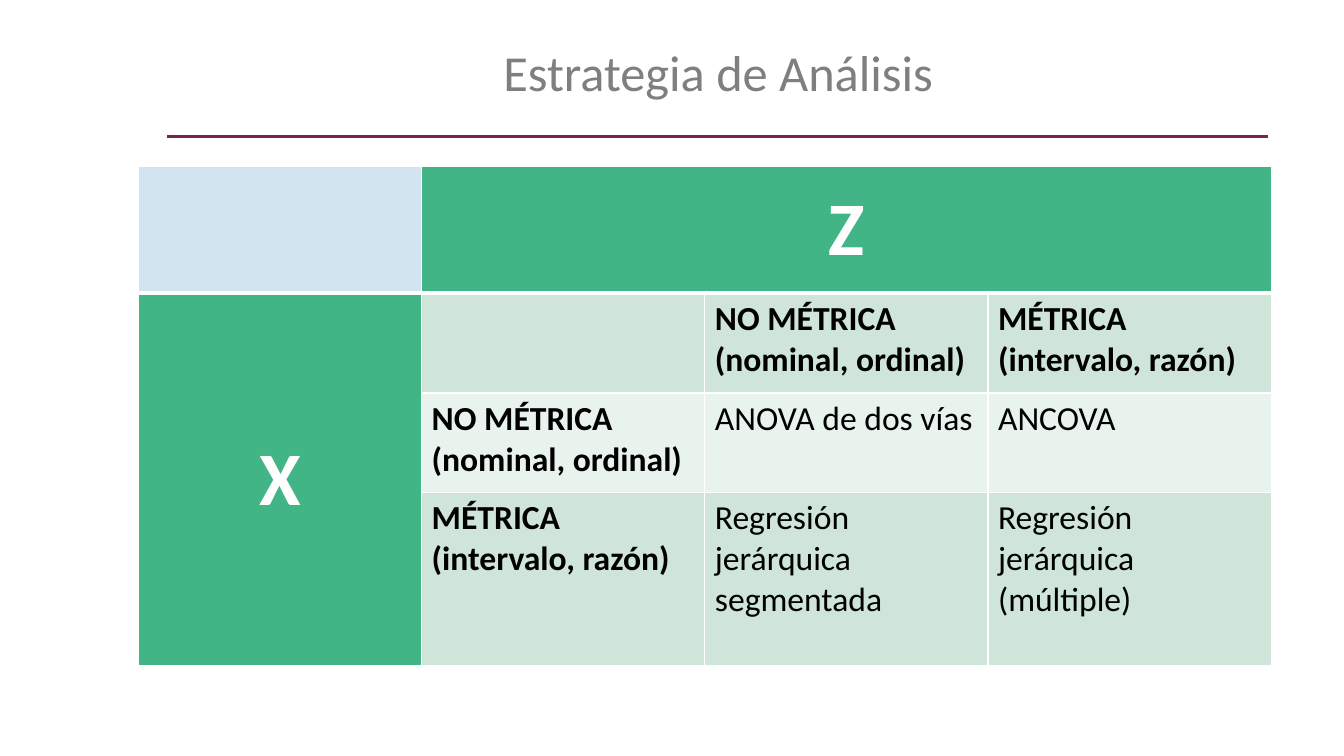
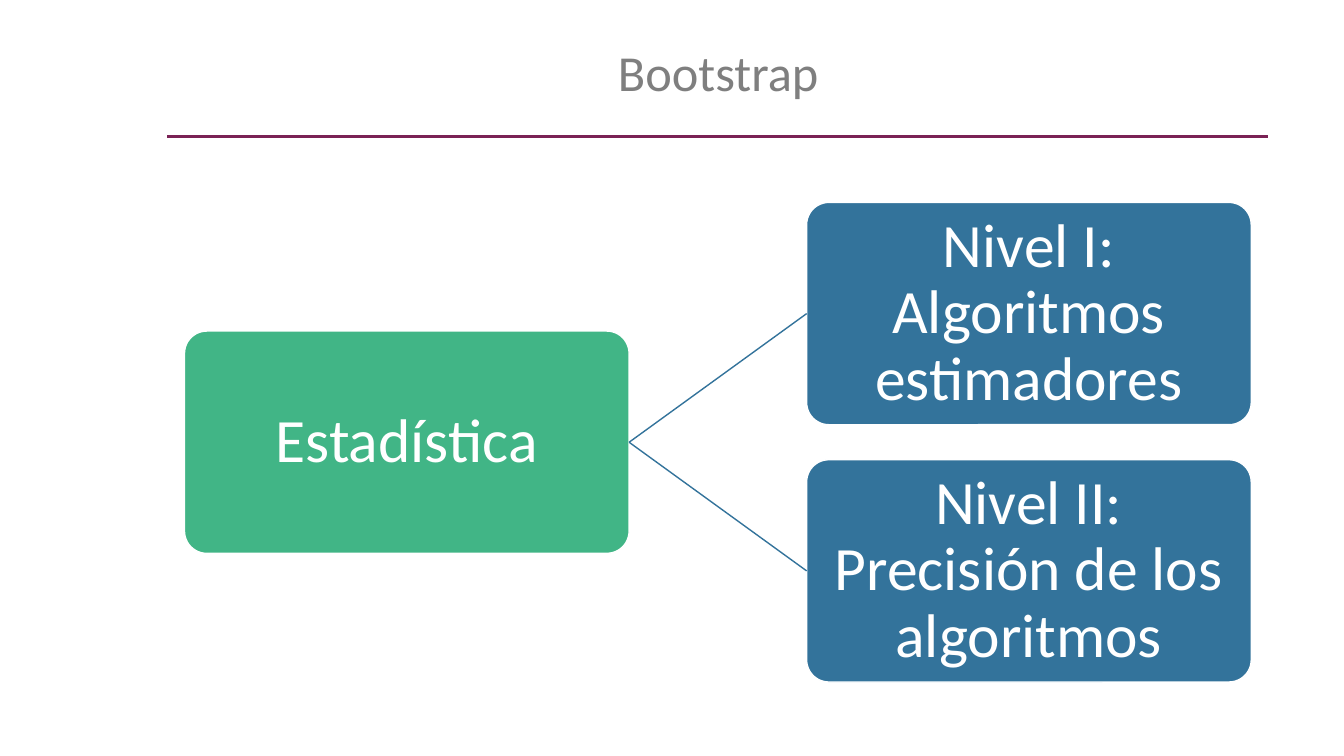
from lxml import etree
from pptx import Presentation
from pptx.dml.color import RGBColor
from pptx.enum.shapes import MSO_CONNECTOR, MSO_SHAPE
from pptx.enum.text import MSO_ANCHOR, PP_ALIGN
from pptx.oxml.ns import qn
from pptx.util import Pt

CENTER, LEFT = PP_ALIGN.CENTER, PP_ALIGN.LEFT
MIDDLE, TOP = MSO_ANCHOR.MIDDLE, MSO_ANCHOR.TOP
STRAIGHT = MSO_CONNECTOR.STRAIGHT
ROUNDED = MSO_SHAPE.ROUNDED_RECTANGLE
RIGHT_SIDE, LEFT_SIDE = 3, 1


class Theme:
    font = "Calibri"
    title_size, axis_size, cell_size, box_size = 36, 54, 24, 44
    white = RGBColor.from_string("FFFFFF")
    black = RGBColor.from_string("000000")
    gray = RGBColor.from_string("7F7F7F")
    plum = RGBColor.from_string("7A2255")
    green = RGBColor.from_string("41B586")
    blue = RGBColor.from_string("33739B")
    corner = RGBColor.from_string("D1E4F0")
    bands = (RGBColor.from_string("CFE5D9"), RGBColor.from_string("E9F3ED"))


def write(text_frame, text, size, color, align=CENTER, bold=False, spacing=0.9):
    paragraph = text_frame.paragraphs[0]
    paragraph.text = text
    paragraph.alignment = align
    paragraph.line_spacing = spacing
    for run in paragraph.runs:
        run.font.name = Theme.font
        run.font.size = Pt(size)
        run.font.bold = bold
        run.font.color.rgb = color


def add_line(slide, start, end, color, width):
    line = slide.shapes.add_connector(STRAIGHT, *map(Pt, start + end))
    line.line.color.rgb = color
    line.line.width = Pt(width)
    etree.SubElement(line.element.spPr, qn("a:effectLst"))
    return line


presentation = Presentation()
presentation.slide_width = Pt(960)
presentation.slide_height = Pt(540)

slides = []
for title in ("Estrategia de Análisis", "Bootstrap"):
    slide = presentation.slides.add_slide(presentation.slide_layouts[6])
    add_line(slide, (119.5, 97.2), (905.8, 97.2), Theme.plum, 2.25)
    title_box = slide.shapes.add_textbox(Pt(131.8), Pt(18.7), Pt(762.5), Pt(69.8))
    title_box.text_frame.word_wrap = True
    title_box.text_frame.vertical_anchor = MIDDLE
    write(title_box.text_frame, title, Theme.title_size, Theme.gray)
    slides.append(slide)
analysis_slide, bootstrap_slide = slides

NON_METRIC = "NO MÉTRICA (nominal, ordinal)"
METRIC = "MÉTRICA (intervalo, razón)"
rows = [
    ["", "Z", "", ""],
    ["X", "", NON_METRIC, METRIC],
    ["", NON_METRIC, "ANOVA de dos vías", "ANCOVA"],
    ["", METRIC, "Regresión jerárquica segmentada", "Regresión jerárquica (múltiple)"],
]
row_heights = (90.7, 71.3, 71.3, 123.1)
column_width = 202.3

table = analysis_slide.shapes.add_table(
    4, 4, Pt(98.9), Pt(118.8), Pt(4 * column_width), Pt(sum(row_heights))
).table
for column in table.columns:
    column.width = Pt(column_width)
for row, height in zip(table.rows, row_heights):
    row.height = Pt(height)
table.cell(0, 1).merge(table.cell(0, 3))
table.cell(1, 0).merge(table.cell(3, 0))

for i, texts in enumerate(rows):
    for j, text in enumerate(texts):
        cell = table.cell(i, j)
        properties = cell._tc.get_or_add_tcPr()
        border_widths = {"L": 1, "R": 1, "T": 3 if i == 1 else 1, "B": 3 if i == 0 else 1}
        for side, width in border_widths.items():
            border = etree.SubElement(properties, qn(f"a:ln{side}"), w=str(Pt(width)))
            border_fill = etree.SubElement(border, qn("a:solidFill"))
            etree.SubElement(border_fill, qn("a:srgbClr"), val=str(Theme.white))

        is_axis = (i == 0) != (j == 0)
        cell.fill.solid()
        if is_axis:
            cell.fill.fore_color.rgb = Theme.green
        elif i == 0:
            cell.fill.fore_color.rgb = Theme.corner
        else:
            cell.fill.fore_color.rgb = Theme.bands[(i - 1) % 2]

        cell.vertical_anchor = MIDDLE if is_axis else TOP
        if is_axis and text:
            write(cell.text_frame, text, Theme.axis_size, Theme.white, bold=True, spacing=1.0)
        elif text:
            is_heading = i == 1 or j == 1
            write(cell.text_frame, text, Theme.cell_size, Theme.black, LEFT, is_heading, 1.0)

box_width, box_height, box_gap = 317.6, 158.8, 25
level_left, level_top = 576.2, 144.6
step = box_height + box_gap
box_specs = [
    ("Estadística", 131.8, level_top + step / 2, Theme.green),
    ("Nivel I:\vAlgoritmos estimadores", level_left, level_top, Theme.blue),
    ("Nivel II:\vPrecisión de los algoritmos", level_left, level_top + step, Theme.blue),
]
boxes = []
for text, left, top, color in box_specs:
    box = bootstrap_slide.shapes.add_shape(
        ROUNDED, Pt(left), Pt(top), Pt(box_width), Pt(box_height)
    )
    box.adjustments[0] = 0.1
    box.shadow.inherit = False
    box.fill.solid()
    box.fill.fore_color.rgb = color
    box.line.color.rgb = Theme.white
    box.line.width = Pt(1)
    text_frame = box.text_frame
    text_frame.word_wrap = True
    text_frame.vertical_anchor = MIDDLE
    text_frame.margin_left = text_frame.margin_right = Pt(2.2)
    text_frame.margin_top = text_frame.margin_bottom = Pt(2.2)
    write(text_frame, text, Theme.box_size, Theme.white)
    boxes.append(box)

statistic, *levels = boxes
for level in levels:
    branch = add_line(bootstrap_slide, (0, 0), (0, 0), Theme.blue, 1)
    branch.begin_connect(statistic, RIGHT_SIDE)
    branch.end_connect(level, LEFT_SIDE)

presentation.save("out.pptx")
